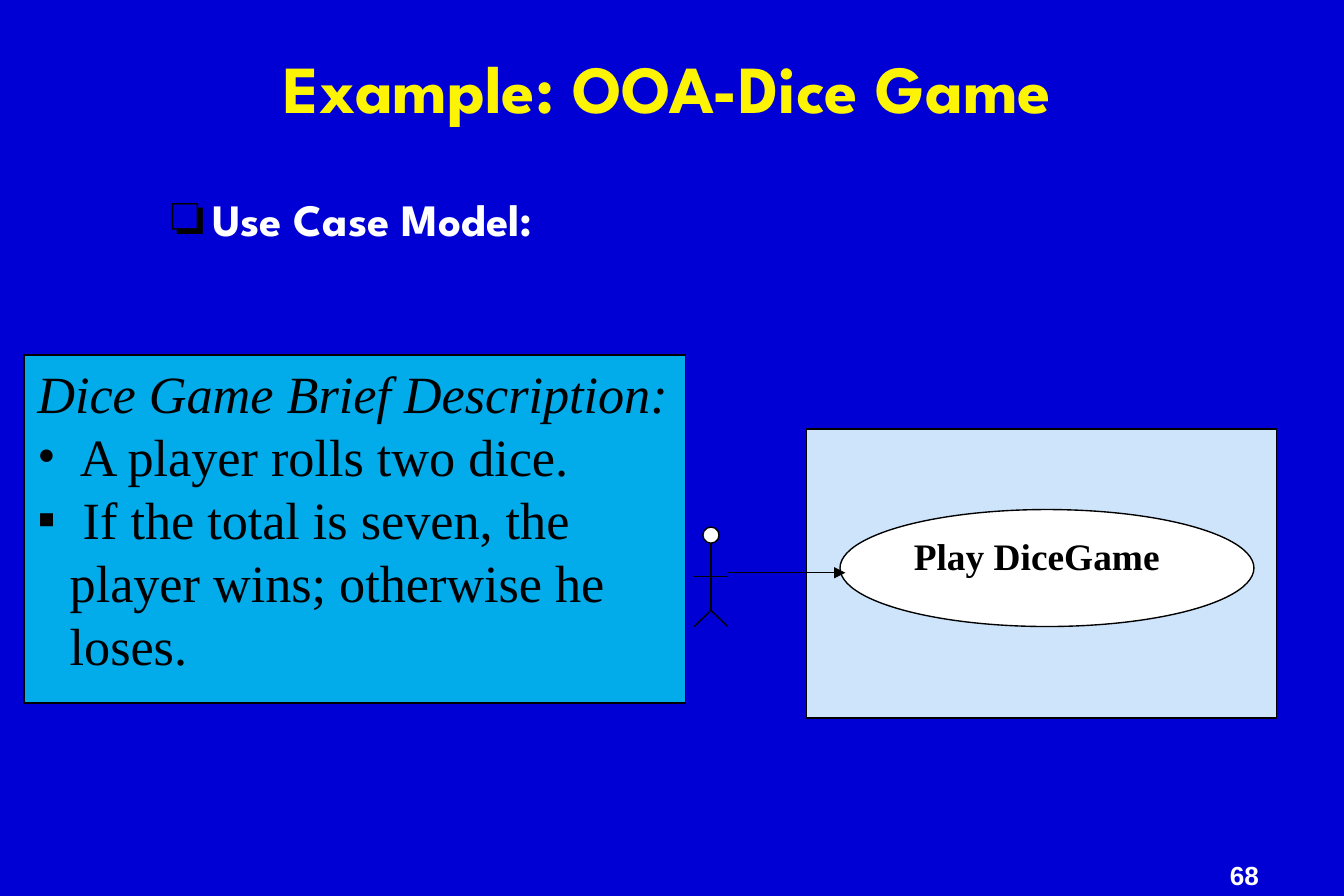
"""Build the Dice Game use case slide."""
from lxml import etree
from pptx import Presentation
from pptx.dml.color import RGBColor
from pptx.enum.shapes import MSO_CONNECTOR, MSO_SHAPE
from pptx.enum.text import MSO_ANCHOR, PP_ALIGN
from pptx.oxml.ns import qn
from pptx.util import Inches, Pt

BLUE = RGBColor(0x00, 0x00, 0xD4)
YELLOW = RGBColor(0xFC, 0xF3, 0x05)
WHITE = RGBColor(0xFF, 0xFF, 0xFF)
BLACK = RGBColor(0x00, 0x00, 0x00)
CYAN = RGBColor(0x02, 0xAB, 0xEA)
PALE_BLUE = RGBColor(0xCD, 0xE4, 0xFB)

HEADING_FONT = "League Spartan"
BODY_FONT = "Times New Roman"
NUMBER_FONT = "Arial"


class SlideBuilder:
    def __init__(self, slide, line_width=0.75):
        self.slide = slide
        self.line_width = Pt(line_width)
        slide.background.fill.solid()
        slide.background.fill.fore_color.rgb = BLUE

    def set_frame(self, frame, insets, wrap=True):
        frame.word_wrap = wrap
        frame.vertical_anchor = MSO_ANCHOR.TOP
        (frame.margin_left, frame.margin_top,
         frame.margin_right, frame.margin_bottom) = map(Inches, insets)

    def format_paragraph(self, paragraph, font, size, color, bold=False, italic=False,
                         align=PP_ALIGN.LEFT, spacing=1.0):
        paragraph.alignment = align
        paragraph.line_spacing = spacing
        for run in paragraph.runs:
            run.font.name = font
            run.font.size = Pt(size)
            run.font.color.rgb = color
            run.font.bold = bold
            run.font.italic = italic

    def add_bullet(self, paragraph, character, indent):
        properties = paragraph._p.get_or_add_pPr()
        properties.set("marL", str(Inches(indent)))
        properties.set("indent", str(-Inches(indent)))
        color = etree.SubElement(properties, qn("a:buClr"))
        etree.SubElement(color, qn("a:srgbClr"), val=str(BLACK))
        etree.SubElement(properties, qn("a:buFont"), typeface=BODY_FONT)
        etree.SubElement(properties, qn("a:buChar"), char=character)

    def text(self, box, text, insets, bullet=None, wrap=True, **style):
        frame = self.slide.shapes.add_textbox(*map(Inches, box)).text_frame
        self.set_frame(frame, insets, wrap)
        frame.text = text
        if bullet:
            self.add_bullet(frame.paragraphs[0], bullet, 0.31)
        self.format_paragraph(frame.paragraphs[0], **style)

    def shape(self, kind, box, fill):
        shape = self.slide.shapes.add_shape(kind, *map(Inches, box))
        shape.shadow.inherit = False
        shape.fill.solid()
        shape.fill.fore_color.rgb = fill
        shape.line.color.rgb = BLACK
        shape.line.width = self.line_width
        self.set_frame(shape.text_frame, (0.1, 0.05, 0.1, 0.05))
        return shape

    def line(self, start, end, arrow=False):
        connector = self.slide.shapes.add_connector(
            MSO_CONNECTOR.STRAIGHT, *map(Inches, (*start, *end)))
        connector.line.color.rgb = BLACK
        connector.line.width = self.line_width
        if arrow:
            etree.SubElement(connector.line._get_or_add_ln(), qn("a:tailEnd"), type="triangle")
        etree.SubElement(connector._element.spPr, qn("a:effectLst"))

    def description(self, box, heading, points):
        frame = self.shape(MSO_SHAPE.RECTANGLE, box, CYAN).text_frame
        frame.text = heading
        style = dict(font=BODY_FONT, size=28, color=BLACK)
        self.format_paragraph(frame.paragraphs[0], italic=True, **style)
        for bullet, point in points:
            paragraph = frame.add_paragraph()
            paragraph.text = point
            self.add_bullet(paragraph, bullet, 0.24)
            self.format_paragraph(paragraph, **style)

    def use_case(self, box, name):
        frame = self.shape(MSO_SHAPE.OVAL, box, WHITE).text_frame
        frame.text = name
        self.format_paragraph(frame.paragraphs[0], BODY_FONT, 20, BLACK, bold=True)

    def actor(self, center, top):
        head, reach = 0.12, 0.125
        neck, arms, hips, feet = top + 0.1, top + 0.37, top + 0.62, top + 0.74
        self.line((center, neck), (center, hips))
        self.shape(MSO_SHAPE.OVAL, (center - head / 2, top, head, head), WHITE)
        for foot in (center - reach, center + reach):
            self.line((center, hips), (foot, feet))
        self.line((center - reach, arms), (center + reach, arms))


def main():
    presentation = Presentation()
    presentation.slide_width = Inches(10)
    presentation.slide_height = Inches(6.664)
    builder = SlideBuilder(presentation.slides.add_slide(presentation.slide_layouts[6]))

    builder.text((9.08, 6.39, 1.08, 0.27), "68", (0.07, 0.03, 0.07, 0.03), wrap=False,
                 font=NUMBER_FONT, size=14, color=WHITE, bold=True, spacing=0.9)
    builder.text((1.98, 0.39, 6.24, 1.11), "Example: OOA-Dice Game", (0.07, 0.03, 0.34, 0.03),
                 font=HEADING_FONT, size=36, color=YELLOW, bold=True,
                 align=PP_ALIGN.CENTER, spacing=0.88)
    builder.text((1.17, 1.42, 7.83, 4), "Use Case Model:", (0.1, 0.05, 0.1, 0.05), bullet="❏",
                 font=HEADING_FONT, size=24, color=WHITE, bold=True, spacing=0.9)
    builder.description((0.18, 2.64, 4.92, 2.59), "Dice Game Brief Description:", [
        ("•", " A player rolls two dice."),
        ("▪", " If the total is seven, the player wins; otherwise he loses."),
    ])
    builder.shape(MSO_SHAPE.RECTANGLE, (6, 3.19, 3.5, 2.15), PALE_BLUE)
    builder.use_case((6.25, 3.79, 3.08, 0.87), "Play DiceGame")
    builder.actor(center=5.29, top=3.92)
    builder.line((5.42, 4.26), (6.29, 4.26), arrow=True)

    presentation.save("out.pptx")


if __name__ == "__main__":
    main()
